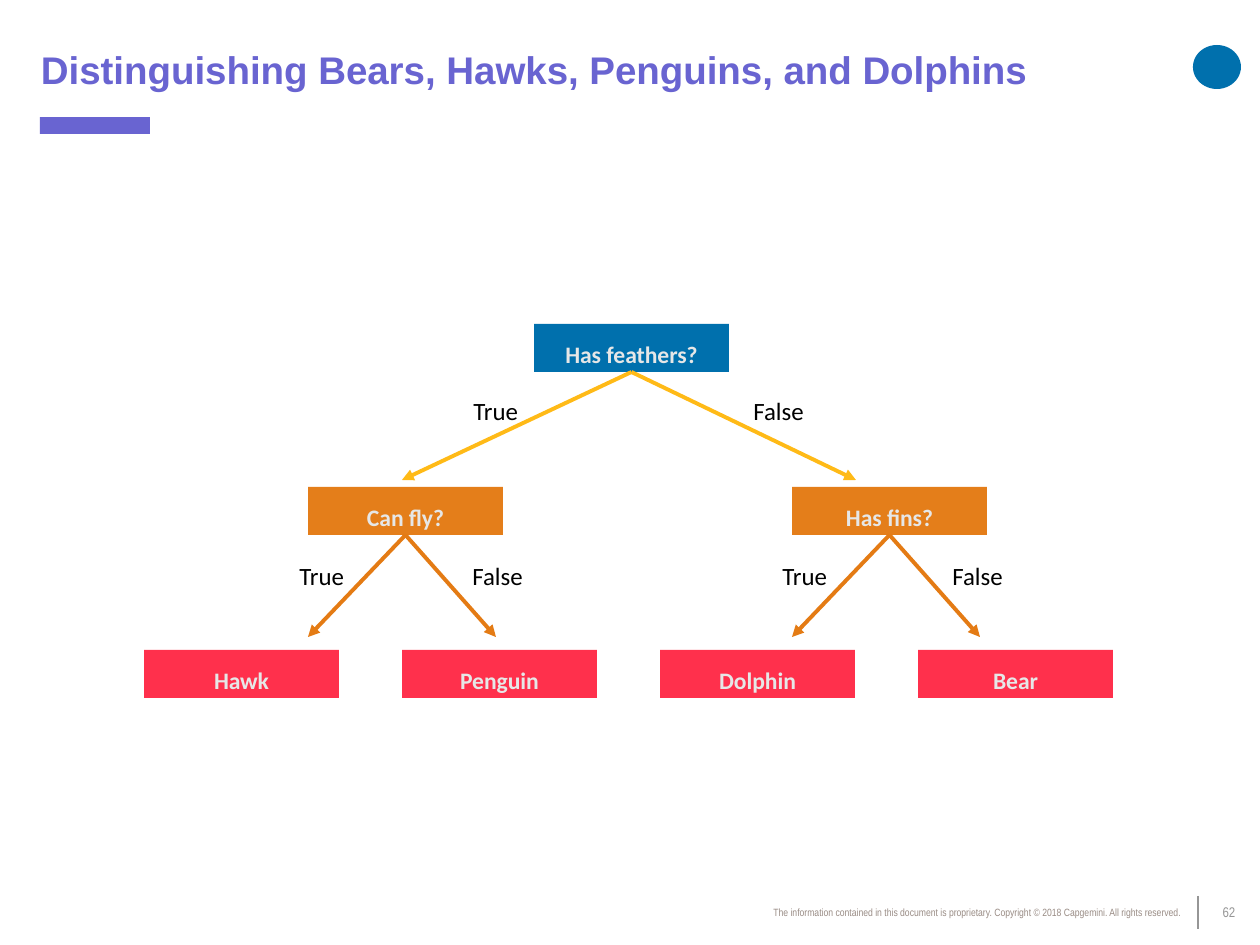
import pptx
import pptx.util
import pptx.dml.color
import pptx.enum.shapes
import pptx.enum.text
import pptx.oxml
import pptx.oxml.ns

PX = 914400 / 126
NODE_W, NODE_H = 195, 48
LEVELS = (324, 487, 650)
PURPLE, BLUE, ORANGE, RED = "6964D1", "0070AD", "E47E1A", "FF304C"
ALIGN = pptx.enum.text.PP_ALIGN
ANCHOR = pptx.enum.text.MSO_ANCHOR
SHAPE = pptx.enum.shapes.MSO_SHAPE


def px(*lengths):
    return [pptx.util.Emu(round(n * PX)) for n in lengths]


def rgb(hex_color):
    return pptx.dml.color.RGBColor.from_string(hex_color)


def write(tf, text, font="Calibri", size=14.2, color="000000", bold=False,
          align=ALIGN.LEFT, anchor=ANCHOR.TOP, spacing=None, after=0, wrap=True):
    tf.word_wrap = wrap
    tf.vertical_anchor = anchor
    p = tf.paragraphs[0]
    p.alignment = align
    p.space_after = pptx.util.Pt(after)
    if spacing:
        p.line_spacing = spacing
    r = p.add_run()
    r.text = text
    r.font.name = font
    r.font.size = pptx.util.Pt(size)
    r.font.bold = bold
    r.font.color.rgb = rgb(color)


def add_text(s, x, y, w, h, text, margins=None, **fmt):
    tf = s.shapes.add_textbox(*px(x, y, w, h)).text_frame
    if margins:
        (tf.margin_left, tf.margin_top,
         tf.margin_right, tf.margin_bottom) = px(*margins)
    write(tf, text, **fmt)


def add_block(s, x, y, w, h, fill, kind=SHAPE.RECTANGLE):
    sp = s.shapes.add_shape(kind, *px(x, y, w, h))
    sp.shadow.inherit = False
    sp.fill.solid()
    sp.fill.fore_color.rgb = rgb(fill)
    sp.line.fill.background()
    return sp


def add_node(s, x, y, text, fill):
    sp = add_block(s, x, y, NODE_W, NODE_H, fill)
    write(sp.text_frame, text, size=13.5, color="E6E7E7", bold=True,
          align=ALIGN.CENTER, spacing=pptx.util.Pt(22), after=6)


def add_line(s, x1, y1, x2, y2, color, width, arrow=False):
    line = s.shapes.add_connector(
        pptx.enum.shapes.MSO_CONNECTOR.STRAIGHT, *px(x1, y1, x2, y2))
    line.line.color.rgb = rgb(color)
    line.line.width = pptx.util.Pt(width)
    if arrow:
        tail = pptx.oxml.parse_xml(
            f'<a:tailEnd {pptx.oxml.ns.nsdecls("a")} type="triangle"/>')
        line.line._get_or_add_ln().append(tail)
    effects = pptx.oxml.parse_xml(f'<a:effectLst {pptx.oxml.ns.nsdecls("a")}/>')
    line._element.spPr.append(effects)


def add_question(s, x, y, text, fill, arrow_color, ends, labels):
    """A question node with its two labelled branches."""
    add_node(s, x, y, text, fill)
    bottom = y + NODE_H
    drop = 108 if y == LEVELS[0] else 102
    label_y = bottom + (17 if y == LEVELS[0] else 19)
    for end_x, label_x, answer, w in zip(ends, labels, ("True", "False"), (71, 77)):
        add_line(s, x + NODE_W / 2, bottom, end_x, bottom + drop,
                 arrow_color, 2.25, arrow=True)
        add_text(s, label_x, label_y, w, 43, answer, wrap=False)


def add_frame(s):
    # Footer
    add_line(s, 1198, 896, 1198, 929, "969696", 0.75)
    add_text(s, 1198, 896, 62, 34, "62", font="Arial Narrow", size=8,
             color="969696", align=ALIGN.CENTER, anchor=ANCHOR.MIDDLE, spacing=0.85)
    add_text(s, 566, 902, 627, 24,
             "The information contained in this document\u00a0is proprietary. "
             "Copyright © 2018 Capgemini. All rights reserved.",
             font="Arial Narrow", size=6, color="998C85",
             align=ALIGN.RIGHT, spacing=0.85)
    # Plain mark and accent bar
    add_block(s, 1193, 45, 48, 44, BLUE, SHAPE.OVAL)
    add_block(s, 40, 117, 110, 17, PURPLE)
    # Title
    add_text(s, 0, 0, 1260, 139, "Distinguishing Bears, Hawks, Penguins, and Dolphins",
             margins=(41, 5, 23, 5), font="Arial", size=22, color=PURPLE,
             bold=True, anchor=ANCHOR.MIDDLE)


def main():
    prs = pptx.Presentation()
    prs.slide_width, prs.slide_height = px(1260, 945)
    s = prs.slides.add_slide(prs.slide_layouts[6])
    add_frame(s)

    # Decision tree
    add_question(s, 534, LEVELS[0], "Has feathers?", BLUE, "FFBA17",
                 ends=(402, 856), labels=(461, 741))
    add_question(s, 308, LEVELS[1], "Can fly?", ORANGE, "E47B14",
                 ends=(308, 496), labels=(287, 460))
    add_question(s, 792, LEVELS[1], "Has fins?", ORANGE, "E47B14",
                 ends=(792, 980), labels=(770, 940))
    for i, animal in enumerate(("Hawk", "Penguin", "Dolphin", "Bear")):
        add_node(s, 144 + 258 * i, LEVELS[2], animal, RED)

    prs.save("out.pptx")


if __name__ == "__main__":
    main()
